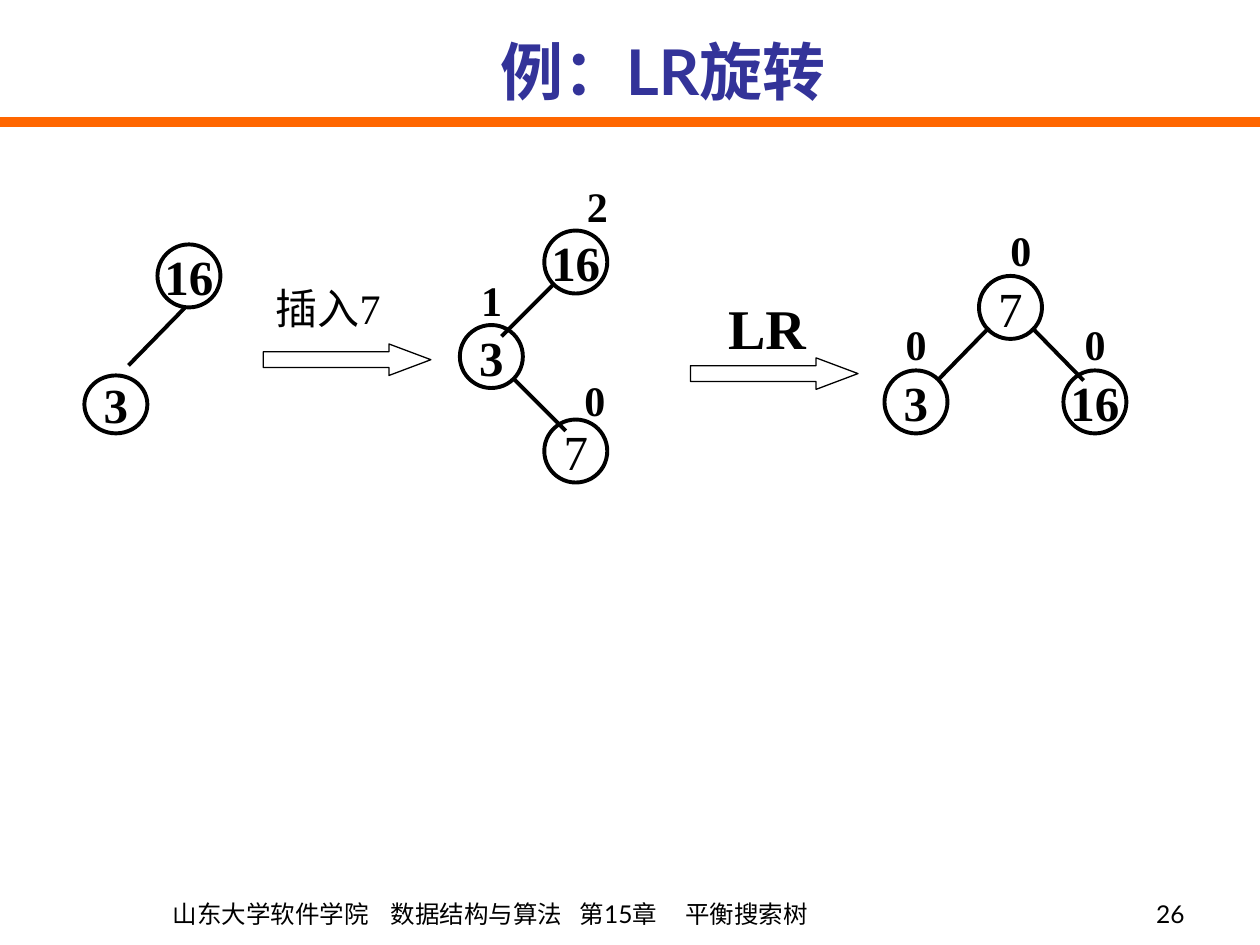
from lxml import etree
from pptx import Presentation
from pptx.dml.color import RGBColor
from pptx.enum.shapes import MSO_CONNECTOR as LINE, MSO_SHAPE as SHAPE
from pptx.enum.text import MSO_ANCHOR as ANCHOR, MSO_AUTO_SIZE as FIT, PP_ALIGN as ALIGN
from pptx.oxml.ns import qn
from pptx.util import Inches, Pt

COLORS = {"ink": "000000", "title": "333399", "rule": "FF6600"}
SERIF, SANS = "Times New Roman", "Lato"
NODE = 0.5
LABEL = (0.36, 0.5)


def color(name):
    return RGBColor.from_string(COLORS[name])


def write(shape, text, size, font, bold=False, align=ALIGN.LEFT,
          anchor=ANCHOR.TOP, wrap=False, ink="ink"):
    frame = shape.text_frame
    frame.word_wrap = wrap
    frame.vertical_anchor = anchor
    para = frame.paragraphs[0]
    para.alignment = align
    span = para.add_run()
    span.text = text
    span.font.size = Pt(size)
    span.font.name = font
    span.font.bold = bold
    span.font.color.rgb = color(ink)
    return frame


def add_text(shapes, box, text, size, font, **style):
    shape = shapes.add_textbox(*map(Inches, box))
    return write(shape, text, size, font, **style)


def add_label(shapes, box, text, size, bold=True):
    """Serif caption whose box fits its text."""
    frame = add_text(shapes, box, text, size, SERIF, bold=bold)
    frame.auto_size = FIT.SHAPE_TO_FIT_TEXT


def add_outline(shapes, kind, box, width):
    shape = shapes.add_shape(kind, *map(Inches, box))
    shape.shadow.inherit = False
    shape.fill.background()
    shape.line.color.rgb = color("ink")
    shape.line.width = Pt(width)
    return shape


def add_line(shapes, start, end, width, ink="ink"):
    line = shapes.add_connector(LINE.STRAIGHT, *map(Inches, (*start, *end)))
    line.line.color.rgb = color(ink)
    line.line.width = Pt(width)
    etree.SubElement(line._element.spPr, qn("a:effectLst"))


def add_tree(page, left, top, nodes, edges, balances=()):
    """Group a tree; nodes are (key, x, y, height, bold), balances (value, x, y)."""
    shapes = page.shapes.add_group_shape().shapes
    for x1, y1, x2, y2 in edges:
        add_line(shapes, (left + x1, top + y1), (left + x2, top + y2), 2.25)
    for key, x, y, height, bold in nodes:
        circle = add_outline(shapes, SHAPE.OVAL, (left + x, top + y, NODE, height), 2.25)
        write(circle, key, 28, SERIF, bold=bold, align=ALIGN.CENTER, anchor=ANCHOR.MIDDLE)
    for value, x, y in balances:
        add_label(shapes, (left + x, top + y, *LABEL), value, 24)


def add_step(page, left, top):
    arrow = add_outline(page.shapes, SHAPE.RIGHT_ARROW, (left, top, 1.33, 0.25), 0.75)
    arrow.adjustments[0] = 0.5
    arrow.adjustments[1] = 1.33


def add_header(page, title):
    add_line(page.shapes, (0, 0.97), (10, 0.97), 6, "rule")
    add_text(page.shapes, (1, 0, 8.52, 0.91), title, 36, SANS, bold=True,
             align=ALIGN.CENTER, anchor=ANCHOR.BOTTOM, wrap=True, ink="title")


def add_footer(page, top, parts, number):
    frame = add_text(page.shapes, (0.51, top, 6.85, 0.5), "\t".join(parts), 14, SANS,
                     anchor=ANCHOR.BOTTOM, wrap=True)
    frame.margin_left = Inches(0.86)
    props = frame.paragraphs[0]._p.get_or_add_pPr()
    tabs = etree.SubElement(props, qn("a:tabLst"))
    for stop in (1.73, 3.23, 4.07):
        etree.SubElement(tabs, qn("a:tab"), pos=str(Inches(stop)), algn="l")
    add_text(page.shapes, (7.42, top, 2.08, 0.5), number, 14, SANS,
             align=ALIGN.RIGHT, anchor=ANCHOR.BOTTOM, wrap=True)


def main():
    deck = Presentation()
    deck.slide_width, deck.slide_height = Inches(10), Inches(7.5)
    page = deck.slides.add_slide(deck.slide_layouts[6])

    add_header(page, "例：LR旋转")
    add_tree(page, 0.67, 1.94,
             nodes=[("3", 0, 1.04, 0.46, True), ("16", 0.58, 0, NODE, True)],
             edges=[(0.8, 0.5, 0.35, 0.96)])
    add_step(page, 2.09, 2.73)
    add_label(page.shapes, (2.09, 2.19, 1.11, 0.5), "插入7", 24, bold=False)
    add_tree(page, 3.65, 1.38,
             nodes=[("16", 0.67, 0.45, NODE, True), ("3", 0, 1.2, NODE, True),
                    ("7", 0.67, 1.95, NODE, False)],
             edges=[(0.75, 0.87, 0.33, 1.29), (0.42, 1.62, 0.84, 2.04)],
             balances=[("2", 0.91, 0), ("1", 0.07, 0.75), ("0", 0.89, 1.54)])
    add_step(page, 5.48, 2.84)
    add_label(page.shapes, (5.68, 2.28, 0.82, 0.64), "LR", 32)
    add_tree(page, 7.02, 1.73,
             nodes=[("7", 0.75, 0.46, NODE, False), ("3", 0, 1.21, NODE, True),
                    ("16", 1.42, 1.21, NODE, True)],
             edges=[(0.83, 0.87, 0.42, 1.29), (1.17, 0.87, 1.58, 1.29)],
             balances=[("0", 0.9, 0), ("0", 0.07, 0.75), ("0", 1.49, 0.75)])
    add_footer(page, 6.92, ["山东大学软件学院", "数据结构与算法", "第15章", "平衡搜索树"], "26")

    deck.save("out.pptx")


if __name__ == "__main__":
    main()
